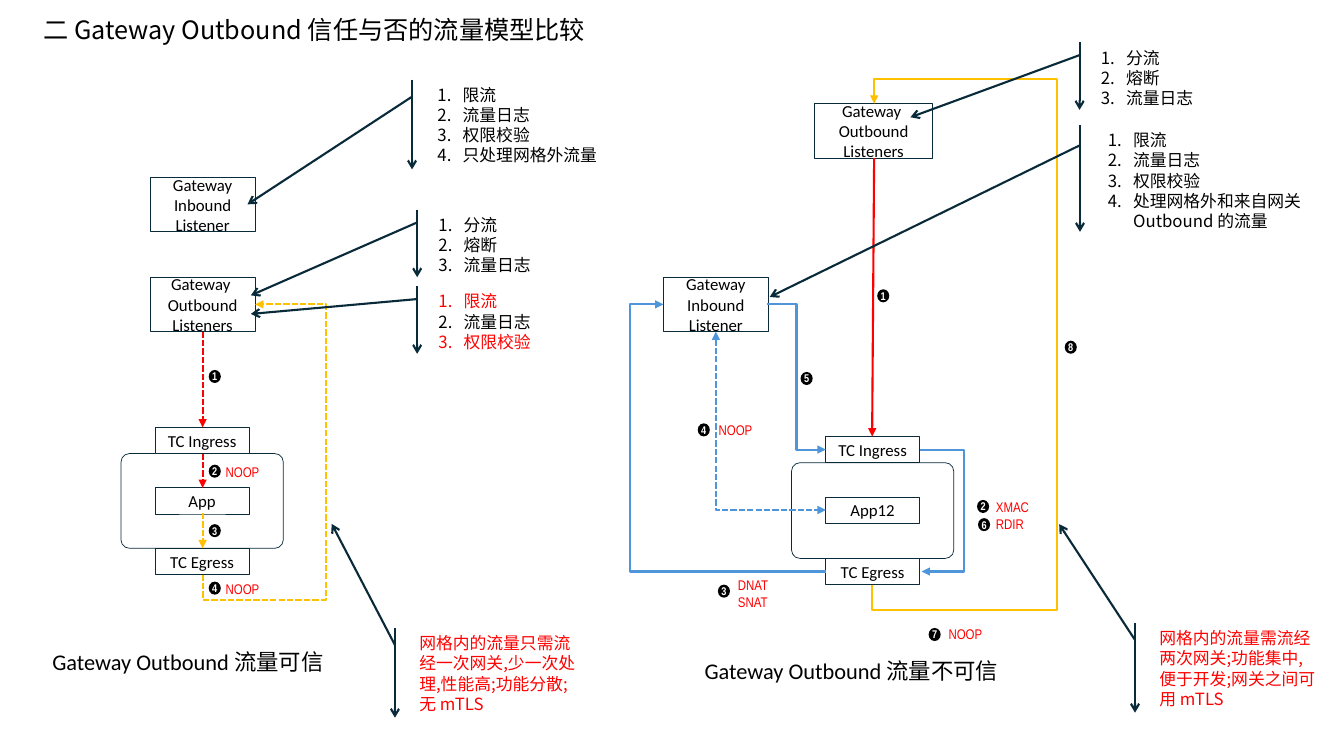
from lxml import etree
from pptx import Presentation
from pptx import util as u
from pptx.dml.color import RGBColor
from pptx.enum import dml, shapes, text
from pptx.oxml.ns import qn

COLORS = {"black": "000000", "white": "FFFFFF", "navy": "092A39",
          "red": "FF0000", "amber": "FFC000", "blue": "4E95D9"}
CJK = "Noto Sans CJK SC"
TITLE = ("二 Gateway Outbound 信任与否的流量模型比较", (0.33, 0.09, 5.62, 0.4))

# Each flow model: boxes, routes (points, color, dashed, two-way), labels, badges
OUTBOUND = ["Gateway ", "Outbound", "Listeners"]
INBOUND = ["Gateway Inbound", "Listener"]
UNTRUSTED = {
    "boxes": [(OUTBOUND, (8.08, 1.03, 1.17, 0.54)),
              ([], (7.85, 4.59, 1.61, 0.95)),
              (["App12"], (8.19, 4.93, 0.93, 0.26)),
              (["TC Ingress"], (8.19, 4.33, 0.93, 0.26)),
              (["TC Egress"], (8.19, 5.54, 0.93, 0.26)),
              (INBOUND, (6.58, 2.75, 1.04, 0.54))],
    "routes": [
        ([(8.65, 5.8), (8.65, 6.05), (10.48, 6.05), (10.48, 0.78), (8.67, 0.78), (8.67, 1.03)],
         "amber", False, False),
        ([(8.67, 1.57), (8.65, 4.33)], "red", False, False),
        ([(9.12, 4.46), (9.56, 4.46), (9.56, 5.67), (9.14, 5.67)], "blue", False, False),
        ([(7.61, 3.02), (7.9, 3.02), (7.9, 4.46), (8.19, 4.46)], "blue", False, False),
        ([(8.19, 5.67), (6.25, 5.67), (6.25, 3.02), (6.58, 3.02)], "blue", False, False),
        ([(7.1, 3.29), (7.1, 5.06), (8.19, 5.06)], "blue", True, True)],
    "actions": [(["XMAC", "RDIR"], (9.78, 4.9, 0.54, 0.44)),
                (["DNAT", "SNAT"], (7.22, 5.67, 0.51, 0.44)),
                (["NOOP"], (9.31, 6.16, 0.54, 0.27)),
                (["NOOP"], (7.03, 4.13, 0.54, 0.27))],
    "steps": [(1, 8.7, 2.87), (2, 9.69, 4.96), (3, 7.12, 5.8), (4, 6.92, 4.2),
              (5, 7.94, 3.69), (6, 9.7, 5.14), (7, 9.21, 6.23), (8, 10.56, 3.38)],
    "caption": ("Gateway Outbound 流量不可信", (6.89, 6.47, 3.25, 0.37)),
}
TRUSTED = {
    "boxes": [(OUTBOUND, (1.49, 2.75, 1.04, 0.54)),
              ([], (1.2, 4.5, 1.61, 0.94)),
              (["TC Ingress"], (1.54, 4.24, 0.93, 0.26)),
              (["TC Egress"], (1.54, 5.44, 0.93, 0.26)),
              (["App"], (1.54, 4.84, 0.93, 0.26)),
              (INBOUND, (1.49, 1.76, 1.04, 0.54))],
    "routes": [
        ([(2.01, 4.5), (2.01, 4.84)], "red", True, False),
        ([(2.01, 5.09), (2.01, 5.44)], "amber", True, False),
        ([(2.01, 5.7), (2.01, 5.95), (3.23, 5.95), (3.23, 3.02), (2.53, 3.02)],
         "amber", True, False),
        ([(2.01, 3.29), (2.01, 4.24)], "red", True, False)],
    "actions": [(["NOOP"], (2.14, 4.55, 0.54, 0.27)),
                (["NOOP"], (2.14, 5.71, 0.54, 0.27))],
    "steps": [(1, 2.07, 3.67), (2, 2.07, 4.61), (3, 2.07, 5.2), (4, 2.07, 5.77)],
    "caption": ("Gateway Outbound 流量可信", (0.42, 6.38, 3.09, 0.37)),
}

# Callouts: lines, place, pointer tip (y, x as shares of the box), numbered, red lines
SPLIT = ["分流", "熔断", "流量日志"]
LIMIT = ["限流", "流量日志", "权限校验"]
CALLOUTS = [
    (SPLIT, (10.82, 0.42, 1.41, 0.67), (1.11, -1.27), True, ()),
    (LIMIT + ["处理网格外和来自网关 Outbound 的流量"],
     (10.89, 1.24, 2.23, 1.06), (1.61, -1.46), True, ()),
    (SPLIT, (4.25, 2.08, 1.41, 0.67), (1.27, -1.25), True, ()),
    (LIMIT, (4.25, 2.84, 1.41, 0.67), (0.41, -1.25), True, (0, 2)),
    (LIMIT + ["只处理网格外流量"], (4.24, 0.79, 1.92, 0.89), (1.39, -0.93), True, ()),
    (["网格内的流量只需流经一次网关,少一次处理,性能高;功能分散;无 mTLS"],
     (4.06, 6.23, 1.79, 0.89), (-1.16, -0.43), False, (0,)),
    (["网格内的流量需流经两次网关;功能集中,", "便于开发;网关之间可用 mTLS"],
     (11.4, 6.18, 1.79, 0.89), (-1.1, -0.5), False, (0, 1)),
]


def rgb(name):
    return RGBColor.from_string(COLORS[name])


def inches(values):
    return [u.Inches(value) for value in values]


def write(shape, lines, size, font, color="black", align="LEFT", anchor="TOP",
          inset=None, bold=False, **frame_format):
    frame = shape.text_frame
    frame.vertical_anchor = getattr(text.MSO_ANCHOR, anchor)
    for name, value in {"word_wrap": True, **frame_format}.items():
        setattr(frame, name, value)
    if inset is not None:
        for side in ("left", "top", "right", "bottom"):
            setattr(frame, "margin_" + side, u.Inches(inset))
    for index, line in enumerate(lines):
        paragraph = frame.paragraphs[0] if index == 0 else frame.add_paragraph()
        paragraph.alignment = getattr(text.PP_ALIGN, align)
        run = paragraph.add_run()
        run.text = line
        for name, value in {"size": u.Pt(size), "name": font, "bold": bold}.items():
            setattr(run.font, name, value)
        run.font.color.rgb = rgb(color)
        etree.SubElement(run.font._element, qn("a:ea"), typeface=CJK)


def add_arrowheads(shape, kind, ends=("tailEnd",)):
    line = shape.element.spPr.find(qn("a:ln"))
    for end in ends:
        etree.SubElement(line, qn("a:" + end), type=kind)


def add_block(parent, kind, place, fill="white", outline=None):
    shape = parent.add_shape(getattr(shapes.MSO_SHAPE, kind), *inches(place))
    shape.shadow.inherit = False
    shape.fill.solid()
    shape.fill.fore_color.rgb = rgb(fill)
    if outline:
        shape.line.color.rgb = rgb("navy")
        shape.line.width = u.Pt(outline)
    else:
        shape.line.fill.background()
    return shape


def add_route(parent, points, color, dashed, two_way):
    """Draw a straight or right-angled arrow through the points."""
    (x1, y1), (x2, y2) = start, end = points[0], points[-1]
    bends = len(points) - 1
    if bends == 1:
        connector = parent.add_connector(shapes.MSO_CONNECTOR.STRAIGHT, *inches(start + end))
    else:
        upright = points[0][0] == points[1][0]
        # An upright start is a quarter turn: local right is down, local down is left
        local = [(y - y1, x1 - x) if upright else (x - x1, y - y1) for x, y in points]
        dx, dy = local[-1]
        middle_x, middle_y = (x1 + x2) / 2, (y1 + y2) / 2
        connector = parent.add_connector(
            shapes.MSO_CONNECTOR.ELBOW,
            *inches((middle_x - dx / 2, middle_y - dy / 2, middle_x + dx / 2, middle_y + dy / 2)))
        properties = connector.element.spPr
        if upright:
            properties.find(qn("a:xfrm")).set("rot", str(90 * 60000))
        geometry = properties.find(qn("a:prstGeom"))
        geometry.set("prst", f"bentConnector{bends}")
        guides = geometry.find(qn("a:avLst"))
        for index in range(bends - 2):
            axis = index % 2
            share = local[index + 1][axis] / (dx, dy)[axis]
            etree.SubElement(guides, qn("a:gd"), name=f"adj{index + 1}",
                             fmla=f"val {round(share * 100000)}")
    connector.line.color.rgb = rgb(color)
    connector.line.width = u.Pt(1.5)
    if dashed:
        connector.line.dash_style = dml.MSO_LINE.SQUARE_DOT
    add_arrowheads(connector, "triangle", ("headEnd", "tailEnd") if two_way else ("tailEnd",))
    etree.SubElement(connector.element.spPr, qn("a:effectLst"))


def add_label(parent, lines, place, size, font, color):
    write(parent.add_textbox(*inches(place)), lines, size, font, color,
          word_wrap=False, auto_size=text.MSO_AUTO_SIZE.SHAPE_TO_FIT_TEXT)


def add_model(slide, model):
    group = slide.shapes.add_group_shape().shapes
    for lines, place in model["boxes"]:
        box = add_block(group, "RECTANGLE" if lines else "ROUNDED_RECTANGLE", place, outline=0.5)
        if lines:
            inset = 0 if len(lines) == 1 else None
            write(box, lines, 12, "Calibri", align="CENTER", anchor="MIDDLE", inset=inset)
        else:
            box.adjustments[0] = 0.09
    for route in model["routes"]:
        add_route(group, *route)
    for lines, place in model["actions"]:
        add_label(group, lines, place, 10, "Arial Narrow", "red")
    for number, left, top in model["steps"]:
        badge = add_block(group, "OVAL", (left, top, 0.12, 0.13), "black")
        write(badge, [str(number)], 8, "Arial Narrow", "white", "CENTER", "MIDDLE", 0, True)
    caption, place = model["caption"]
    add_label(group, [caption], place, 16, "Calibri", "black")


def add_callout(slide, lines, place, tip, numbered, red_lines):
    callout = add_block(slide.shapes, "LINE_CALLOUT_1_ACCENT_BAR", place, outline=1.5)
    for index, value in enumerate((0.19, -0.08) + tip):
        callout.adjustments[index] = value
    add_arrowheads(callout, "arrow")
    write(callout, lines, 12, CJK)
    for index, paragraph in enumerate(callout.text_frame.paragraphs):
        if index in red_lines:
            paragraph.runs[0].font.color.rgb = rgb("red")
        if numbered:
            properties = paragraph._p.get_or_add_pPr()
            properties.set("marL", str(u.Inches(0.25)))
            properties.set("indent", str(u.Inches(-0.25)))
            etree.SubElement(properties, qn("a:buAutoNum"), type="arabicPeriod")


def main():
    presentation = Presentation()
    presentation.slide_width, presentation.slide_height = inches((13.33, 7.5))
    slide = presentation.slides.add_slide(presentation.slide_layouts[5])
    # Title
    title, place = slide.shapes.title, TITLE[1]
    for name, value in zip(("left", "top", "width", "height"), inches(place)):
        setattr(title, name, value)
    write(title, [TITLE[0]], 18, CJK, auto_size=text.MSO_AUTO_SIZE.SHAPE_TO_FIT_TEXT)
    # Flow models and their callouts
    for model in (UNTRUSTED, TRUSTED):
        add_model(slide, model)
    for callout in CALLOUTS:
        add_callout(slide, *callout)
    presentation.save("out.pptx")


if __name__ == "__main__":
    main()
